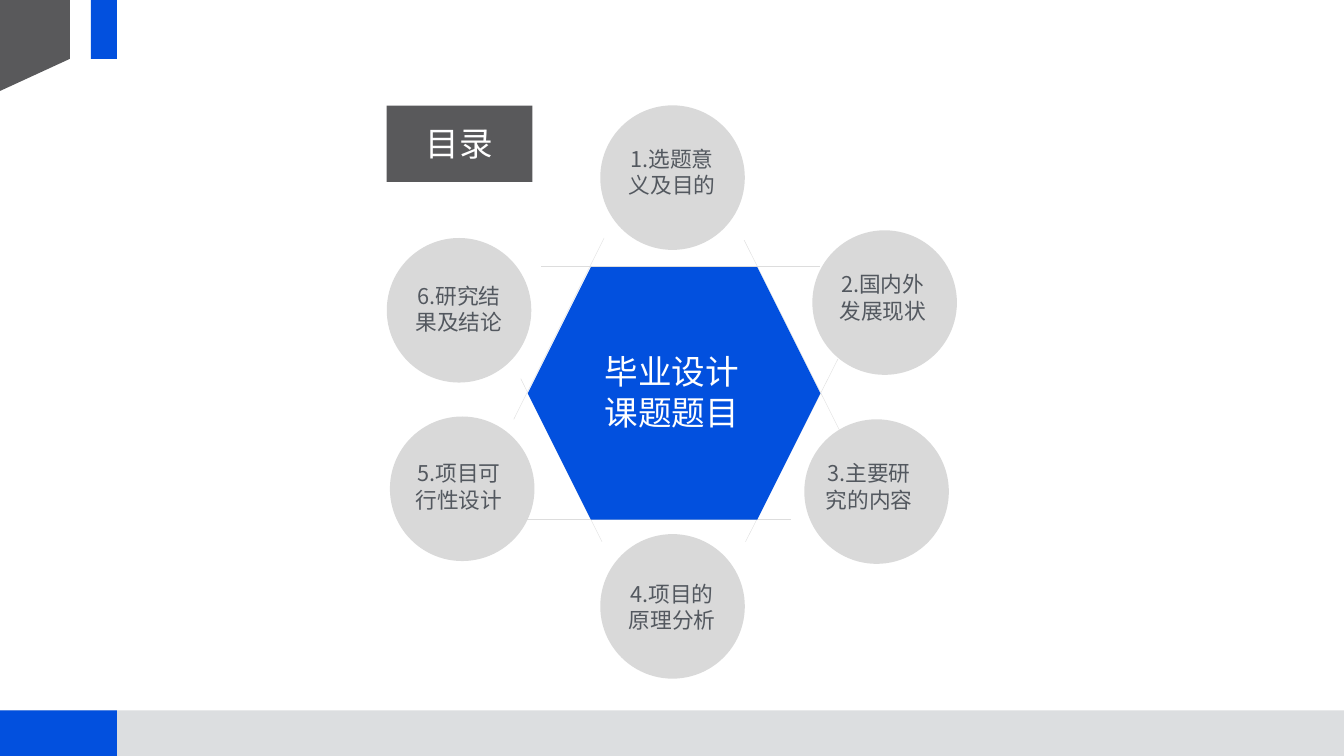
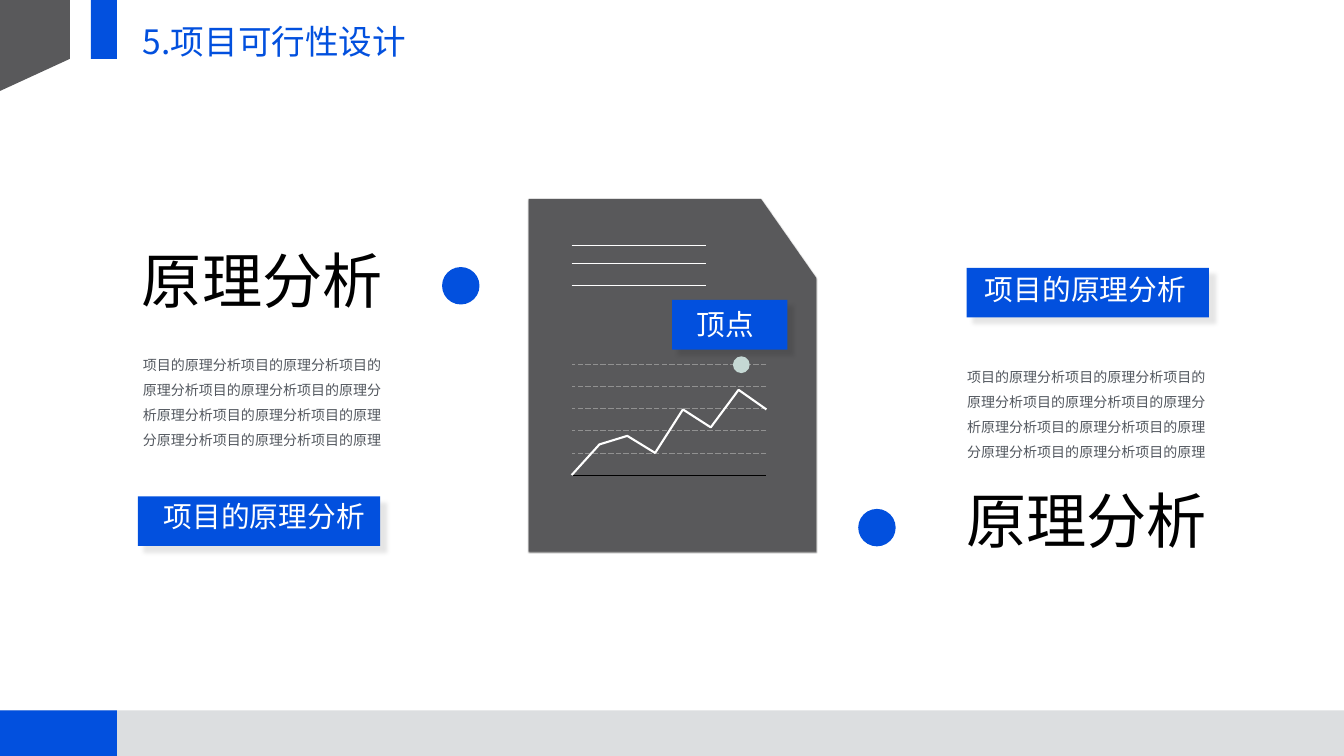
from lxml import etree
from pptx import Presentation
from pptx.chart.data import CategoryChartData
from pptx.dml.color import RGBColor
from pptx.enum.chart import XL_CHART_TYPE, XL_MARKER_STYLE, XL_TICK_LABEL_POSITION, XL_TICK_MARK
from pptx.enum.dml import MSO_LINE
from pptx.enum.shapes import MSO_CONNECTOR, MSO_SHAPE
from pptx.enum.text import MSO_ANCHOR, MSO_AUTO_SIZE, PP_ALIGN
from pptx.oxml import parse_xml
from pptx.oxml.ns import nsdecls, qn
from pptx.util import Pt

RECT, OVAL, HEXAGON = MSO_SHAPE.RECTANGLE, MSO_SHAPE.OVAL, MSO_SHAPE.HEXAGON
LEFT, CENTER = PP_ALIGN.LEFT, PP_ALIGN.CENTER
TOP, MIDDLE = MSO_ANCHOR.TOP, MSO_ANCHOR.MIDDLE
STRAIGHT, LONG_DASH = MSO_CONNECTOR.STRAIGHT, MSO_LINE.LONG_DASH
GROW = MSO_AUTO_SIZE.SHAPE_TO_FIT_TEXT
LINE_CHART, NO_MARKER = XL_CHART_TYPE.LINE, XL_MARKER_STYLE.NONE
NO_LABELS, NO_TICKS = XL_TICK_LABEL_POSITION.NONE, XL_TICK_MARK.NONE
TITLE_ONLY = 5
FONT = "Noto Sans CJK SC"
CHART_FONT = "Arial"
COLORS = {
    "blue": "0250DE", "dark": "59595B", "band": "DCDEE0", "bubble": "D9D9D9",
    "link": "DDDDDD", "text": "53585F", "white": "FFFFFF", "black": "000000",
    "grid": "919191", "peak": "C5D8D4",
}
TAG_SHADOW = (10, 6, 12, 45)
PAGE_SHADOW = (50, 2, 1, 90)


def rgb(color):
    return RGBColor.from_string(COLORS[color])


class Deck:
    def __init__(self):
        self.prs = Presentation()
        self.prs.slide_width, self.prs.slide_height = Pt(1920), Pt(1080)
        self.slide = None

    def new_slide(self):
        self.slide = self.prs.slides.add_slide(self.prs.slide_layouts[TITLE_ONLY])
        self.shape(RECT, 0, 1015, 1920, 66, "band")
        self.shape(RECT, 0, 1015, 167, 66, "blue")
        self.outline([(0, 0), (0, 130), (100, 84), (100, 0)], "dark")
        self.shape(RECT, 130, 0, 37, 84, "blue")

    def paint(self, shape, color, shadow=None):
        shape.fill.solid()
        shape.fill.fore_color.rgb = rgb(color)
        shape.line.fill.background()
        shape.shadow.inherit = False
        if shadow:
            alpha, blur, distance, angle = shadow
            effects = shape.element.spPr.find(qn("a:effectLst"))
            effects.append(parse_xml(
                f'<a:outerShdw {nsdecls("a")} blurRad="{Pt(blur)}" dist="{Pt(distance)}" '
                f'dir="{angle * 60000}" algn="ctr" rotWithShape="0">'
                f'<a:srgbClr val="{COLORS["black"]}"><a:alpha val="{alpha * 1000}"/></a:srgbClr>'
                f'</a:outerShdw>'))

    def shape(self, kind, x, y, w, h, color, shadow=None):
        shape = self.slide.shapes.add_shape(kind, Pt(x), Pt(y), Pt(w), Pt(h))
        self.paint(shape, color, shadow)

    def outline(self, points, color, shadow=None):
        builder = self.slide.shapes.build_freeform(*points[0], scale=Pt(1))
        builder.add_line_segments(points[1:], close=True)
        self.paint(builder.convert_to_shape(), color, shadow)

    def line(self, x1, y1, x2, y2, color, width):
        line = self.slide.shapes.add_connector(STRAIGHT, Pt(x1), Pt(y1), Pt(x2), Pt(y2))
        line.line.color.rgb = rgb(color)
        line.line.width = Pt(width)
        etree.SubElement(line.element.spPr, qn("a:effectLst"))

    def fill_text(self, box, words, size, color, align, anchor, inset, spacing):
        frame = box.text_frame
        frame.text = words
        frame.word_wrap = True
        frame.auto_size = GROW
        frame.vertical_anchor = anchor
        frame.margin_left = frame.margin_right = Pt(inset)
        frame.margin_top = frame.margin_bottom = Pt(inset)
        paragraph = frame.paragraphs[0]
        paragraph.alignment = align
        paragraph.line_spacing = spacing
        paragraph.space_before = Pt(0)
        for run in paragraph.runs:
            run.font.size = Pt(size)
            run.font.color.rgb = rgb(color)
            run.font.name = FONT
        for properties in box.element.iter(qn("a:rPr")):
            etree.SubElement(properties, qn("a:ea"), typeface=FONT)

    def text(self, words, x, y, w, h, size, color, align=LEFT, anchor=TOP, inset=7.2, spacing=1.0):
        box = self.slide.shapes.add_textbox(Pt(x), Pt(y), Pt(w), Pt(h))
        self.fill_text(box, words, size, color, align, anchor, inset, spacing)

    def title(self, words, x, y, w, h, color, align=LEFT, anchor=TOP, inset=7.2):
        title = self.slide.shapes.title
        title.left, title.top, title.width, title.height = Pt(x), Pt(y), Pt(w), Pt(h)
        self.fill_text(title, words, 48, color, align, anchor, inset, 1.0)
        self.slide.shapes.element.append(title.element)

    def trend_chart(self, x, y, w, h, name, values):
        data = CategoryChartData(number_format="0")
        data.categories = [str(n) for n in range(1, len(values) + 1)]
        data.add_series(name, values)
        chart = self.slide.shapes.add_chart(LINE_CHART, Pt(x), Pt(y), Pt(w), Pt(h), data).chart
        chart.has_legend = chart.has_title = False
        chart.font.size, chart.font.name = Pt(10), CHART_FONT
        chart.font.color.rgb = rgb("black")

        for axis in (chart.category_axis, chart.value_axis):
            axis.tick_label_position = NO_LABELS
            axis.major_tick_mark = axis.minor_tick_mark = NO_TICKS
        chart.category_axis.format.line.color.rgb = rgb("black")
        chart.category_axis.format.line.width = Pt(1)
        scale = chart.value_axis
        scale.minimum_scale, scale.maximum_scale, scale.major_unit = 0, 130, 26
        scale.format.line.fill.background()
        scale.has_major_gridlines = True
        grid = scale.major_gridlines.format.line
        grid.color.rgb, grid.width, grid.dash_style = rgb("grid"), Pt(1), LONG_DASH

        plot = chart.plots[0]
        plot.vary_by_categories = False
        trend = plot.series[0]
        trend.smooth = False
        trend.marker.style = NO_MARKER
        trend.format.line.color.rgb, trend.format.line.width = rgb("white"), Pt(3)
        self.place_plot(chart, 0.06, 0.15, 0.92, 0.78)

    def place_plot(self, chart, x, y, w, h):
        root = chart.element
        area = root.find(".//" + qn("c:plotArea"))
        axis = area.find(qn("c:valAx"))
        for parent, tag in ((area, "c:layout"), (axis, "c:crossBetween")):
            for old in parent.findall(qn(tag)):
                parent.remove(old)
        cross = parse_xml(f'<c:crossBetween {nsdecls("c")} val="midCat"/>')
        axis.find(qn("c:crosses")).addnext(cross)
        area.insert(0, parse_xml(
            f'<c:layout {nsdecls("c")}><c:manualLayout><c:layoutTarget val="inner"/>'
            f'<c:xMode val="edge"/><c:yMode val="edge"/><c:x val="{x}"/><c:y val="{y}"/>'
            f'<c:w val="{w}"/><c:h val="{h}"/></c:manualLayout></c:layout>'))
        clear = f'<c:spPr {nsdecls("c", "a")}><a:noFill/><a:ln><a:noFill/></a:ln></c:spPr>'
        area.append(parse_xml(clear))
        root.find(qn("c:chart")).addnext(parse_xml(clear))


def contents_slide(deck):
    deck.new_slide()
    links = [
        (863, 340, 734, 599), (1063, 343, 1202, 620), (773, 380, 1172, 380),
        (746, 742, 1130, 742), (1197, 513, 1065, 774), (744, 541, 860, 774),
    ]
    chapters = [
        ("1.选题意义及目的", (857.5, 150.5), (887, 205)),
        ("2.国内外发展现状", (1160.5, 329), (1188, 384)),
        ("3.主要研究的内容", (1149, 599), (1168.5, 654)),
        ("4.项目的原理分析", (857.5, 763), (887, 826)),
        ("5.项目可行性设计", (557, 595), (582.5, 654)),
        ("6.研究结果及结论", (552.5, 340), (582.5, 401)),
    ]
    for link in links:
        deck.line(*link, "link", 0.5)
    deck.shape(HEXAGON, 754, 381.5, 418, 361, "blue")
    deck.text("毕业设计课题题目", 848, 490, 223, 139, 48, "white", CENTER, MIDDLE, 5.8)
    for chapter, bubble, label in chapters:
        deck.shape(OVAL, *bubble, 206.5, 206.5, "bubble")
        deck.text(chapter, *label, 146, 89, 31, "text", CENTER, inset=3.6)
    deck.shape(RECT, 552.5, 151, 208, 109, "dark")
    deck.title("目录", 552.5, 169, 208, 71, "white", CENTER, MIDDLE, 3.6)


def feasibility_slide(deck):
    deck.new_slide()
    deck.title("5.项目可行性设计", 197, 23, 397, 78, "blue")
    deck.outline([(755, 787.5), (755, 284.5), (1087, 284.5), (1166, 397), (1166, 787.5)],
                 "dark", PAGE_SHADOW)
    for y in (350, 376, 407):
        deck.line(816.5, y, 1008, y, "white", 0.75)
    deck.shape(RECT, 960, 428.5, 165, 71, "blue", TAG_SHADOW)
    deck.trend_chart(798.5, 490, 302.5, 203, "区域 1", (0, 36, 46, 26, 77, 56, 100, 77))
    deck.shape(OVAL, 1047, 509, 24, 24, "peak")
    deck.text("顶点", 988.5, 431, 107, 68, 41, "white")

    explanation = ("项目的原理分析项目的原理分析项目的原理分析项目的原理分析项目的原理分析"
                   "原理分析项目的原理分析项目的原理分原理分析项目的原理分析项目的原理")
    panels = [
        ((197, 337), (197, 489.5), (197, 709), (227, 705), (631.5, 381.5)),
        ((1374.5, 679), (1374.5, 507), (1381, 382.5), (1400, 381), (1226, 727)),
    ]
    for heading, body, tag, caption, dot in panels:
        deck.text("原理分析", *heading, 376, 125, 86, "black", anchor=MIDDLE, inset=5.8)
        deck.text(explanation, *body, 369, 158, 20, "text", spacing=1.5)
        deck.shape(RECT, *tag, 346, 71, "blue", TAG_SHADOW)
        deck.text("项目的原理分析", *caption, 309, 68, 41, "white")
        deck.shape(OVAL, *dot, 53.5, 53.5, "blue")


def main():
    deck = Deck()
    contents_slide(deck)
    feasibility_slide(deck)
    deck.prs.save("out.pptx")


if __name__ == "__main__":
    main()
